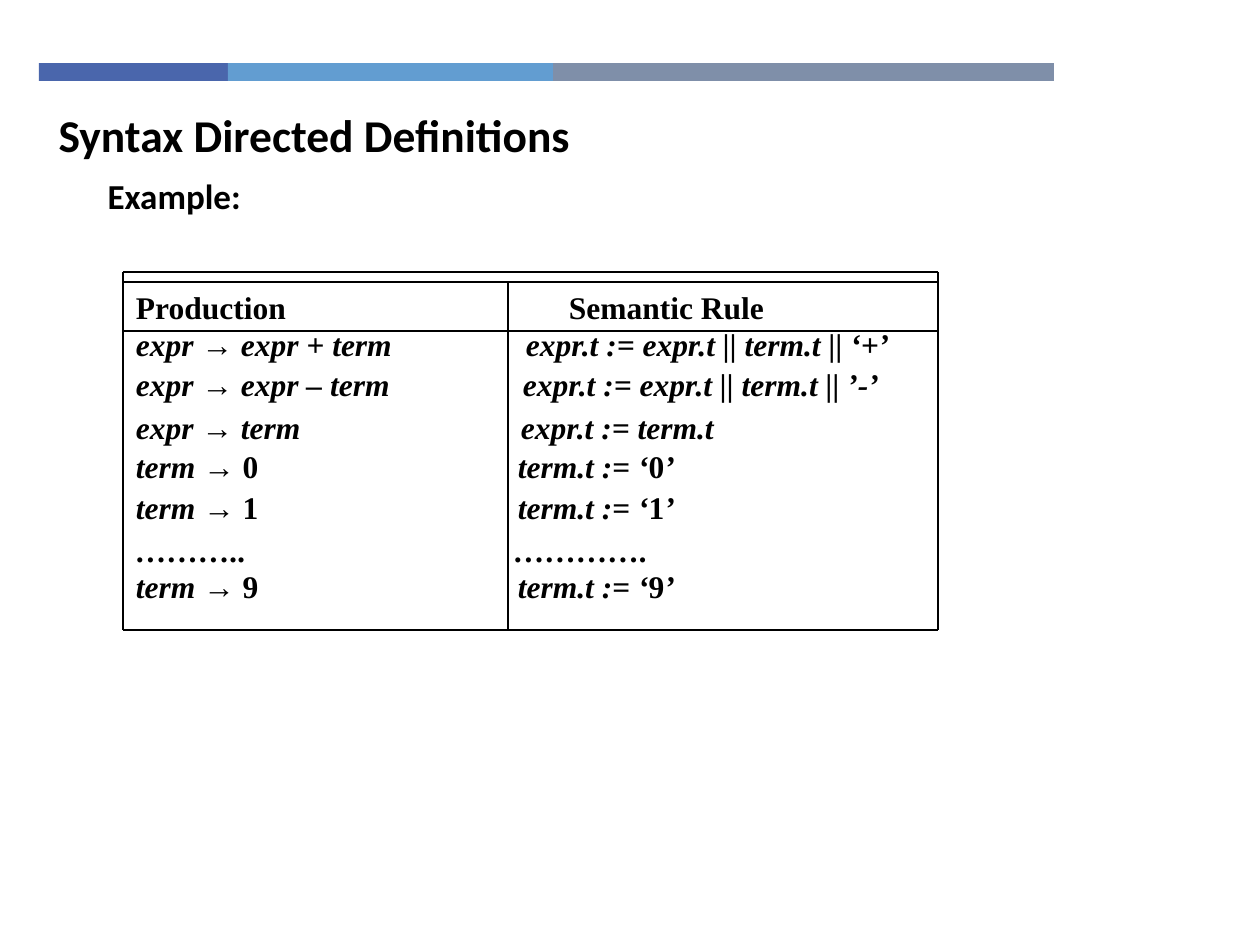
from dataclasses import dataclass

import lxml.etree
import pptx
import pptx.dml.color
import pptx.enum.shapes
import pptx.enum.text
import pptx.oxml.ns
import pptx.util

PX = 914400 // 126
BLACK = "000000"
SERIF = "Times New Roman"
SANS = "Calibri"
TABLE_LEFT, TABLE_TOP = 123, 282
COLUMN_WIDTHS = (385, 430)
STRIP_HEIGHT = 10
PRODUCTION_INSET = 13


@dataclass
class Run:
    text: str
    italic: bool = False


@dataclass
class GrammarRow:
    production: list[Run]
    rule: list[Run]
    rule_inset: int
    height: int
    top_inset: int = 2


@dataclass
class Band:
    left: int
    width: int
    color: str


BANDS = [Band(39, 189, "4A66AC"), Band(228, 325, "629DD1"), Band(553, 501, "7F8FA9")]


def expr_row(tail: str, rule: str, rule_inset: int, height: int) -> GrammarRow:
    production = [Run("expr ", True), Run("→"), Run(f" {tail}", True)]
    return GrammarRow(production, [Run(f"expr.t := {rule}", True)], rule_inset, height)


def digit_row(digit: str, height: int) -> GrammarRow:
    production = [Run("term ", True), Run(f"→ {digit}")]
    rule = [Run("term.t := ‘", True), Run(digit), Run("’", True)]
    return GrammarRow(production, rule, 10, height)


ROWS = [
    GrammarRow([Run("Production")], [Run("Semantic Rule")], 61, 49, 14),
    expr_row("expr + term", "expr.t || term.t || ‘+’", 18, 40),
    expr_row("expr – term", "expr.t || term.t || ’-’", 15, 43),
    expr_row("term", "term.t", 13, 39),
    digit_row("0", 41),
    digit_row("1", 43),
    GrammarRow([Run("………..", True)], [Run("………….", True)], 6, 36),
    digit_row("9", 57),
]


def px(length: int) -> int:
    return length * PX


def rgb(color: str) -> pptx.dml.color.RGBColor:
    return pptx.dml.color.RGBColor.from_string(color)


def add_run(paragraph, run: Run, size: int, font_name: str) -> None:
    piece = paragraph.add_run()
    piece.text = run.text
    piece.font.size = pptx.util.Pt(size)
    piece.font.name = font_name
    piece.font.bold = True
    piece.font.italic = run.italic
    piece.font.color.rgb = rgb(BLACK)


def fill_placeholder(placeholder, text: str, size: int, box: tuple[int, int, int, int],
                     anchor: pptx.enum.text.MSO_ANCHOR) -> None:
    placeholder.left, placeholder.top, placeholder.width, placeholder.height = map(px, box)
    frame = placeholder.text_frame
    frame.vertical_anchor = anchor
    frame.word_wrap = True
    paragraph = frame.paragraphs[0]
    properties = paragraph._p.get_or_add_pPr()
    properties.set("marL", "0")
    properties.set("indent", "0")
    lxml.etree.SubElement(properties, pptx.oxml.ns.qn("a:buNone"))
    paragraph.alignment = pptx.enum.text.PP_ALIGN.LEFT
    paragraph.space_before = pptx.util.Pt(0)
    add_run(paragraph, Run(text), size, SANS)


def add_band(slide, band: Band) -> None:
    bar = slide.shapes.add_shape(
        pptx.enum.shapes.MSO_SHAPE.RECTANGLE, px(band.left), px(63), px(band.width), px(18))
    bar.shadow.inherit = False
    bar.fill.solid()
    bar.fill.fore_color.rgb = rgb(band.color)
    bar.line.fill.background()


def add_ruling(slide, x1: int, y1: int, x2: int, y2: int) -> None:
    ruling = slide.shapes.add_connector(
        pptx.enum.shapes.MSO_CONNECTOR.STRAIGHT, px(x1), px(y1), px(x2), px(y2))
    ruling.line.color.rgb = rgb(BLACK)
    ruling.line.width = pptx.util.Pt(0.75)
    lxml.etree.SubElement(ruling._element.spPr, pptx.oxml.ns.qn("a:effectLst"))


def clear_borders(cell) -> None:
    properties = cell._tc.get_or_add_tcPr()
    for side in "LRTB":
        border = lxml.etree.SubElement(properties, pptx.oxml.ns.qn(f"a:ln{side}"))
        lxml.etree.SubElement(border, pptx.oxml.ns.qn("a:noFill"))


def fill_cell(cell, runs: list[Run], left_inset: int, top_inset: int) -> None:
    clear_borders(cell)
    cell.fill.background()
    cell.margin_left, cell.margin_top = px(left_inset), px(top_inset)
    cell.margin_right = cell.margin_bottom = 0
    cell.vertical_anchor = pptx.enum.text.MSO_ANCHOR.TOP
    paragraph = cell.text_frame.paragraphs[0]
    paragraph.line_spacing = 0.85
    for run in runs:
        add_run(paragraph, run, 18, SERIF)


def add_grammar_table(slide) -> None:
    width, height = sum(COLUMN_WIDTHS), sum(row.height for row in ROWS)
    table = slide.shapes.add_table(
        len(ROWS), len(COLUMN_WIDTHS), px(TABLE_LEFT), px(TABLE_TOP), px(width), px(height)).table
    table.first_row = table.horz_banding = False
    for column, column_width in zip(table.columns, COLUMN_WIDTHS):
        column.width = px(column_width)
    for index, row in enumerate(ROWS):
        table.rows[index].height = px(row.height)
        fill_cell(table.cell(index, 0), row.production, PRODUCTION_INSET, row.top_inset)
        fill_cell(table.cell(index, 1), row.rule, row.rule_inset, row.top_inset)

    right, bottom = TABLE_LEFT + width, TABLE_TOP + height
    strip_top = TABLE_TOP - STRIP_HEIGHT
    for y in (strip_top, TABLE_TOP, TABLE_TOP + ROWS[0].height, bottom):
        add_ruling(slide, TABLE_LEFT, y, right, y)
    for x, top in ((TABLE_LEFT, strip_top), (TABLE_LEFT + COLUMN_WIDTHS[0], TABLE_TOP),
                   (right, strip_top)):
        add_ruling(slide, x, top, x, bottom)


def main() -> None:
    presentation = pptx.Presentation()
    presentation.slide_width = pptx.util.Inches(10)
    presentation.slide_height = pptx.util.Inches(7.5)
    slide = presentation.slides.add_slide(presentation.slide_layouts[1])
    for band in BANDS:
        add_band(slide, band)
    anchors = pptx.enum.text.MSO_ANCHOR
    fill_placeholder(slide.shapes.title, "Syntax Directed Definitions", 26,
                     (46, 100, 902, 68), anchors.MIDDLE)
    fill_placeholder(slide.placeholders[1], "Example:", 20, (95, 168, 1041, 560), anchors.TOP)
    add_grammar_table(slide)
    presentation.save("out.pptx")


if __name__ == "__main__":
    main()
